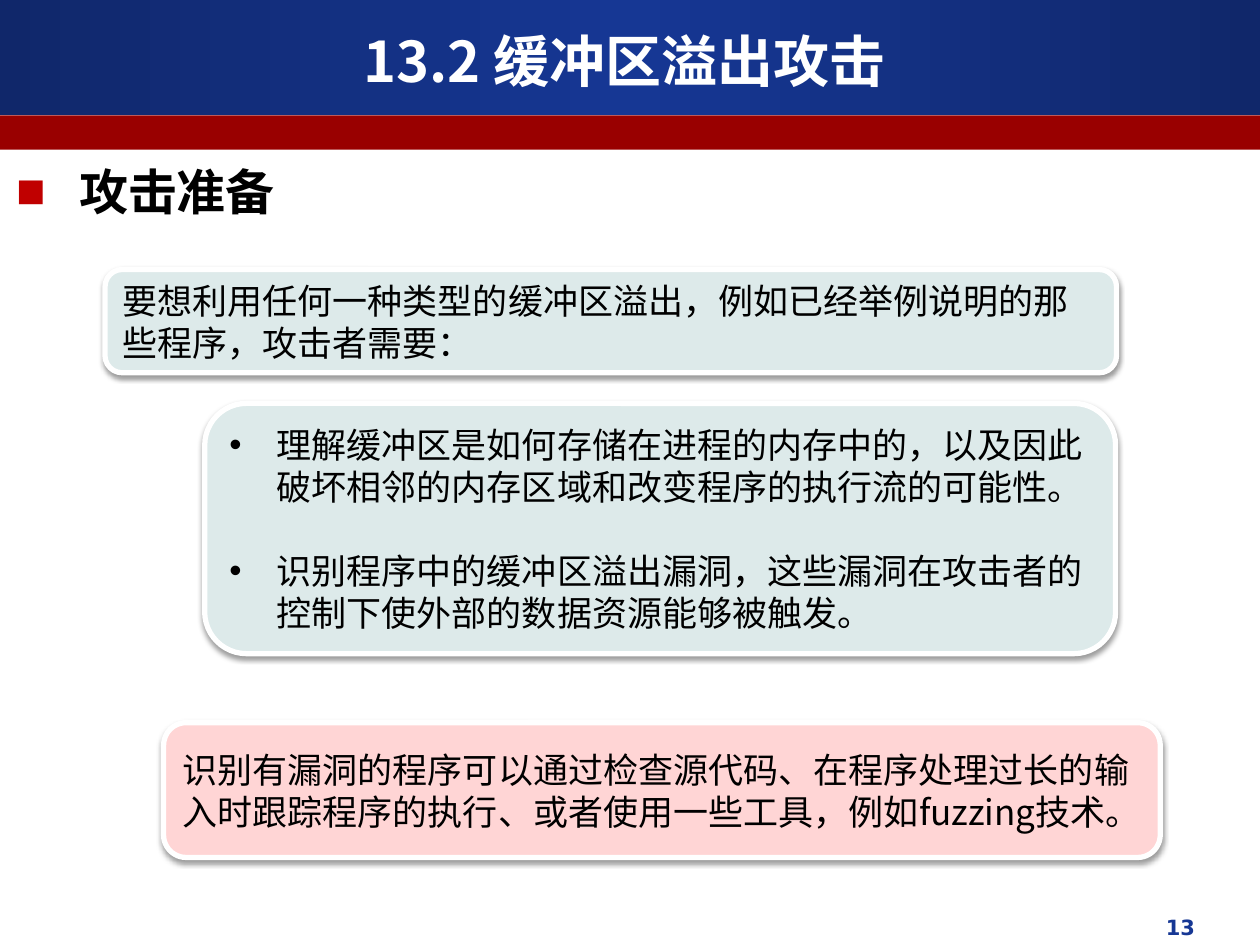
from lxml.etree import SubElement
from pptx import Presentation
from pptx.dml.color import RGBColor
from pptx.enum.shapes import MSO_SHAPE
from pptx.enum.text import MSO_ANCHOR, MSO_AUTO_SIZE, PP_ALIGN
from pptx.oxml.ns import qn
from pptx.util import Pt

HUES = {
    "navy": "10276A", "blue": "163794", "red": "990000", "mark": "C00000",
    "mint": "DDEAEA", "pink": "FFD5D5", "white": "FFFFFF", "black": "000000",
}
SANS = "Noto Sans CJK SC"
HEAD = {"name": SANS, "size": Pt(32), "bold": True}
TOPIC = {"name": SANS, "size": Pt(28), "bold": True}
NOTE = {"name": SANS, "size": Pt(20), "bold": False}
PAGE = {"name": "DejaVu Sans", "size": Pt(12), "bold": True}
LEAD = "要想利用任何一种类型的缓冲区溢出，例如已经举例说明的那些程序，攻击者需要："
NEEDS = [
    "理解缓冲区是如何存储在进程的内存中的，以及因此破坏相邻的内存区域和改变程序的执行流的可能性。",
    "识别程序中的缓冲区溢出漏洞，这些漏洞在攻击者的控制下使外部的数据资源能够被触发。",
]
TOOLS = ("识别有漏洞的程序可以通过检查源代码、在程序处理过长的输入时跟踪程序的执行、"
         "或者使用一些工具，例如fuzzing技术。")


def tint(key):
    return RGBColor.from_string(HUES[key])


def place(shape, box):
    for name, size in zip(("left", "top", "width", "height"), box):
        setattr(shape, name, Pt(size))


def bullet(para, mark, indent, hue=None):
    props = para._p.get_or_add_pPr()
    props.set("marL", str(Pt(indent)))
    props.set("indent", str(-Pt(indent)))
    if hue:
        color = SubElement(props, qn("a:buClr"))
        SubElement(color, qn("a:srgbClr"), val=HUES[hue])
    SubElement(props, qn("a:buFont"), typeface="Arial")
    SubElement(props, qn("a:buChar"), char=mark)


def write(para, text, style, hue, align=PP_ALIGN.LEFT):
    """Fill a paragraph with one run in the given style."""
    para.alignment = align
    para.space_before = Pt(0)
    run = para.add_run()
    run.text = text
    for name, value in style.items():
        setattr(run.font, name, value)
    run.font.color.rgb = tint(hue)
    SubElement(run._r.get_or_add_rPr(), qn("a:ea"), typeface=style["name"])


def setup(frame, anchor=MSO_ANCHOR.TOP):
    frame.word_wrap = True
    frame.auto_size = MSO_AUTO_SIZE.NONE
    frame.vertical_anchor = anchor
    return frame


def band(slide, box):
    shape = slide.shapes.add_shape(MSO_SHAPE.RECTANGLE, *map(Pt, box))
    shape.shadow.inherit = False
    shape.line.fill.background()
    return shape.fill


def header(slide, box):
    """Gradient bar, red strip and title."""
    x, y, w, h = box
    fill = band(slide, (x, y, w, 65.5))
    fill.gradient()
    fill.gradient_angle = 0
    stops = fill._fill._gradFill.find(qn("a:gsLst"))
    for stop in list(stops):
        stops.remove(stop)
    for pos, key in ((0, "navy"), (50, "blue"), (100, "navy")):
        stop = SubElement(stops, qn("a:gs"), pos=str(pos * 1000))
        SubElement(stop, qn("a:srgbClr"), val=HUES[key])
    strip = band(slide, (x, y + 66, w, h - 66))
    strip.solid()
    strip.fore_color.rgb = tint("red")
    title = slide.shapes.title
    place(title, (x + 24, y + 12, w - 54, 45))
    frame = setup(title.text_frame, MSO_ANCHOR.MIDDLE)
    write(frame.paragraphs[0], "13.2 缓冲区溢出攻击", HEAD, "white", PP_ALIGN.CENTER)
    slide.shapes._spTree.append(title._element)


def topic(slide, box):
    body = slide.placeholders[1]
    place(body, box)
    para = setup(body.text_frame).paragraphs[0]
    bullet(para, "■", 36, "mark")
    write(para, "攻击准备", TOPIC, "black")


def shade(shape):
    """Soft shadow straight below the shape."""
    shape.shadow.inherit = False
    effects = shape._element.spPr.find(qn("a:effectLst"))
    outer = SubElement(effects, qn("a:outerShdw"), blurRad=str(Pt(3.1)),
                       dist=str(Pt(1.6)), dir="5400000", rotWithShape="0")
    color = SubElement(outer, qn("a:srgbClr"), val=HUES["black"])
    SubElement(color, qn("a:alpha"), val="38000")


def panel(slide, box, texts, hue, mark=None):
    shape = slide.shapes.add_shape(MSO_SHAPE.ROUNDED_RECTANGLE, *map(Pt, box))
    shape.fill.solid()
    shape.fill.fore_color.rgb = tint(hue)
    shape.line.color.rgb = tint("white")
    shape.line.width = Pt(3)
    shade(shape)
    frame = setup(shape.text_frame, MSO_ANCHOR.MIDDLE)
    for i, text in enumerate(texts):
        para = frame.add_paragraph() if i else frame.paragraphs[0]
        if mark:
            bullet(para, mark, 27)
        write(para, text, NOTE, "black")
        para.line_spacing = Pt(24)
        para.space_before = Pt(24 if i else 0)


def footer(slide, box):
    frame = setup(slide.shapes.add_textbox(*map(Pt, box)).text_frame)
    write(frame.paragraphs[0], "13", PAGE, "blue", PP_ALIGN.RIGHT)


def main():
    deck = Presentation()
    deck.slide_width, deck.slide_height = Pt(720), Pt(540)
    slide = deck.slides.add_slide(deck.slide_layouts[1])
    header(slide, (0, 0, 720, 85.5))
    topic(slide, (2, 88.5, 650, 41))
    panel(slide, (60, 154, 578, 59), [LEAD], "mint")
    panel(slide, (117, 230.5, 520.5, 143), NEEDS, "mint", "•")
    panel(slide, (93.5, 413, 569.5, 77), [TOOLS], "pink")
    footer(slide, (462, 519, 228, 25))
    deck.save("out.pptx")


if __name__ == "__main__":
    main()
